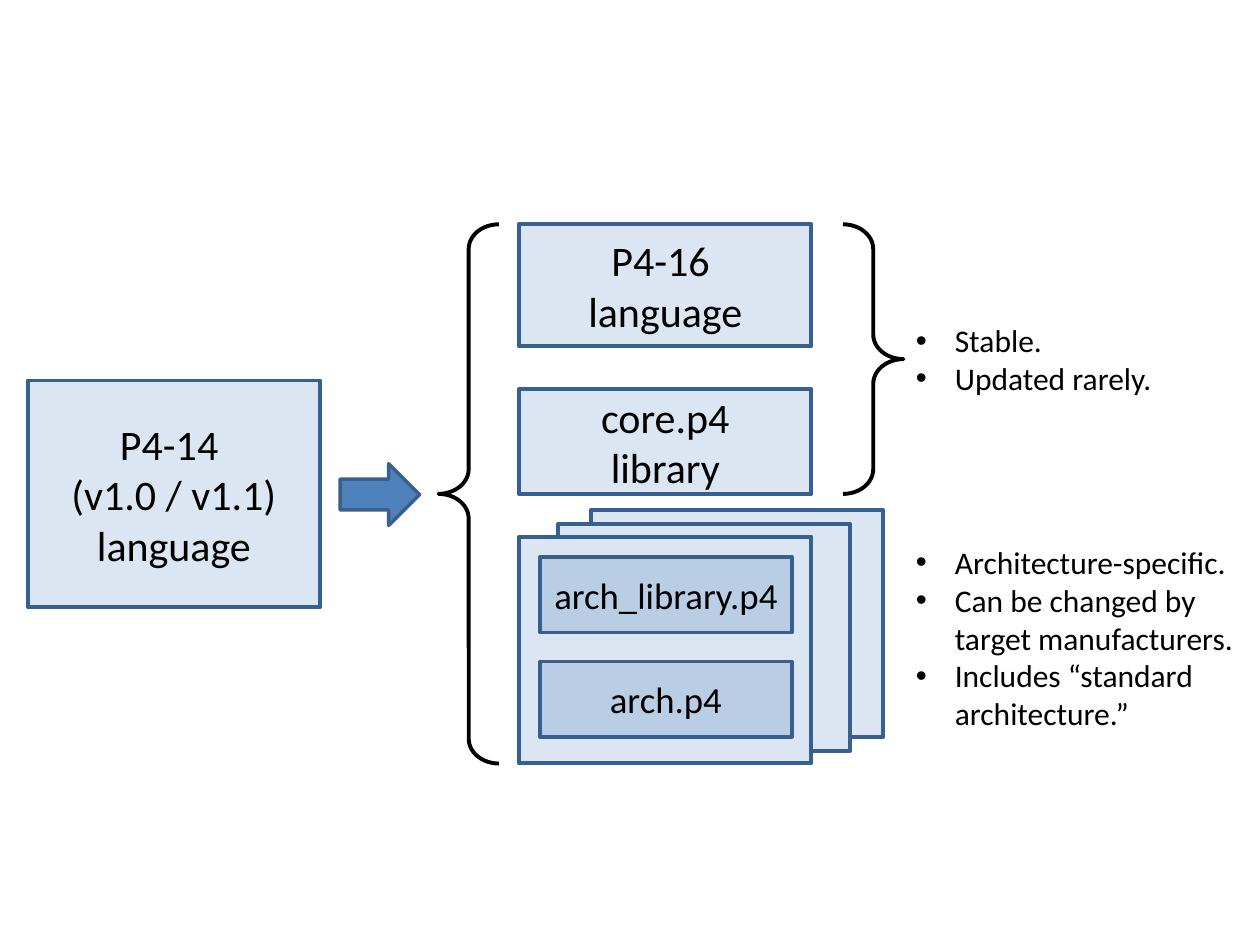
from lxml import etree
from pptx import Presentation
from pptx.dml.color import RGBColor
from pptx.enum.shapes import MSO_SHAPE
from pptx.enum.text import MSO_ANCHOR, MSO_AUTO_SIZE, PP_ALIGN
from pptx.oxml.ns import qn
from pptx.util import Inches, Pt

RECTANGLE, ARROW, BRACE = MSO_SHAPE.RECTANGLE, MSO_SHAPE.RIGHT_ARROW, MSO_SHAPE.LEFT_BRACE
MIDDLE, CENTER, LEFT = MSO_ANCHOR.MIDDLE, PP_ALIGN.CENTER, PP_ALIGN.LEFT
FIT_SHAPE, NO_FIT = MSO_AUTO_SIZE.SHAPE_TO_FIT_TEXT, MSO_AUTO_SIZE.NONE

BLACK = RGBColor(0x00, 0x00, 0x00)
PALE = RGBColor(0xDC, 0xE6, 0xF2)
LIGHT = RGBColor(0xB9, 0xCD, 0xE5)
BLUE = RGBColor(0x4F, 0x81, 0xBD)
NAVY = RGBColor(0x37, 0x60, 0x92)
STEEL = RGBColor(0x3A, 0x5F, 0x8C)

LANGUAGE_STYLE = {"fill": PALE, "line": NAVY, "width": 2.25, "size": 24}
FILE_STYLE = {"fill": LIGHT, "line": STEEL, "width": 2, "size": 21}
ARROW_STYLE = {"fill": BLUE, "line": STEEL, "width": 2}
BRACE_STYLE = {"fill": None, "line": BLACK, "width": 2.25}

TOP, BOX_LEFT, BOX_WIDTH, BOX_HEIGHT = 1.78, 4.12, 2.32, 1.8
STABLE_HEIGHT, FULL_HEIGHT = 2.14, 4.28


def add_figure(page, kind, box, style):
    """Add a preset shape in the given box with its fill and outline."""
    shape = page.shapes.add_shape(kind, *map(Inches, box))
    shape.shadow.inherit = False
    if style["fill"] is None:
        shape.fill.background()
    else:
        shape.fill.solid()
        shape.fill.fore_color.rgb = style["fill"]
    shape.line.color.rgb = style["line"]
    shape.line.width = Pt(style["width"])
    return shape


def write_lines(frame, lines, size, align, bullet=False):
    """Write one paragraph per line, bulleted when asked."""
    for index, line in enumerate(lines):
        para = frame.add_paragraph() if index else frame.paragraphs[0]
        para.text = line
        para.alignment = align
        if bullet:
            properties = para._p.get_or_add_pPr()
            properties.set("marL", str(Inches(0.31)))
            properties.set("indent", str(Inches(-0.31)))
            etree.SubElement(properties, qn("a:buFont")).set("typeface", "Arial")
            etree.SubElement(properties, qn("a:buChar")).set("char", "•")
        for span in para.runs:
            for name, value in {"name": "Calibri", "size": Pt(size)}.items():
                setattr(span.font, name, value)
            span.font.color.rgb = BLACK


def add_label_box(page, box, lines, style):
    """Add a rectangle with centred text."""
    frame = add_figure(page, RECTANGLE, box, style).text_frame
    for name, value in {"word_wrap": True, "vertical_anchor": MIDDLE}.items():
        setattr(frame, name, value)
    write_lines(frame, lines, style["size"], CENTER)


def add_brace(page, box, rotation=0):
    """Add a curly brace that opens right, or left when rotated."""
    brace = add_figure(page, BRACE, box, BRACE_STYLE)
    brace.adjustments[0] = 0.408
    brace.rotation = rotation


def add_notes_list(page, box, lines, wrap):
    """Add a bulleted text box."""
    frame = page.shapes.add_textbox(*map(Inches, box)).text_frame
    settings = {"word_wrap": wrap, "auto_size": FIT_SHAPE if wrap else NO_FIT}
    for name, value in settings.items():
        setattr(frame, name, value)
    write_lines(frame, lines, 18, LEFT, bullet=True)


def add_architecture_stack(page, left, top):
    """Add the three stacked architecture cards and the files on the front one."""
    for across, up in ((0.57, 0.21), (0.31, 0.1), (0, 0)):
        card = (left + across, top - up, BOX_WIDTH, BOX_HEIGHT)
        add_figure(page, RECTANGLE, card, LANGUAGE_STYLE)
    for index, name in enumerate(("arch_library.p4", "arch.p4")):
        box = (left + 0.165, top + 0.16 + index * 0.83, 2, 0.6)
        add_label_box(page, box, [name], FILE_STYLE)


def main():
    """Build the slide and save the deck."""
    deck = Presentation()
    deck.slide_width, deck.slide_height = Inches(10), Inches(7.5)
    page = deck.slides.add_slide(deck.slide_layouts[6])

    add_label_box(page, (0.22, 3.02, BOX_WIDTH, BOX_HEIGHT),
                  ["P4-14 \n(v1.0 / v1.1)", "language"], LANGUAGE_STYLE)
    add_figure(page, ARROW, (2.7, 3.68, 0.63, 0.49), ARROW_STYLE)
    add_brace(page, (3.48, TOP, 0.48, FULL_HEIGHT))

    add_label_box(page, (BOX_LEFT, TOP, BOX_WIDTH, 0.97),
                  ["P4-16 \nlanguage"], LANGUAGE_STYLE)
    add_label_box(page, (BOX_LEFT, 3.09, BOX_WIDTH, 0.83),
                  ["core.p4", "library"], LANGUAGE_STYLE)
    add_architecture_stack(page, BOX_LEFT, 4.26)

    add_brace(page, (6.69, TOP, 0.48, STABLE_HEIGHT), rotation=180)
    add_notes_list(page, (7.17, 2.5, 2.1, 0.71),
                   ["Stable.", "Updated rarely."], wrap=False)
    add_notes_list(page, (7.17, 4.26, 2.94, 1.62),
                   ["Architecture-specific.",
                    "Can be changed by \ntarget manufacturers.",
                    "Includes “standard\narchitecture.”"], wrap=True)
    deck.save("out.pptx")


if __name__ == "__main__":
    main()
